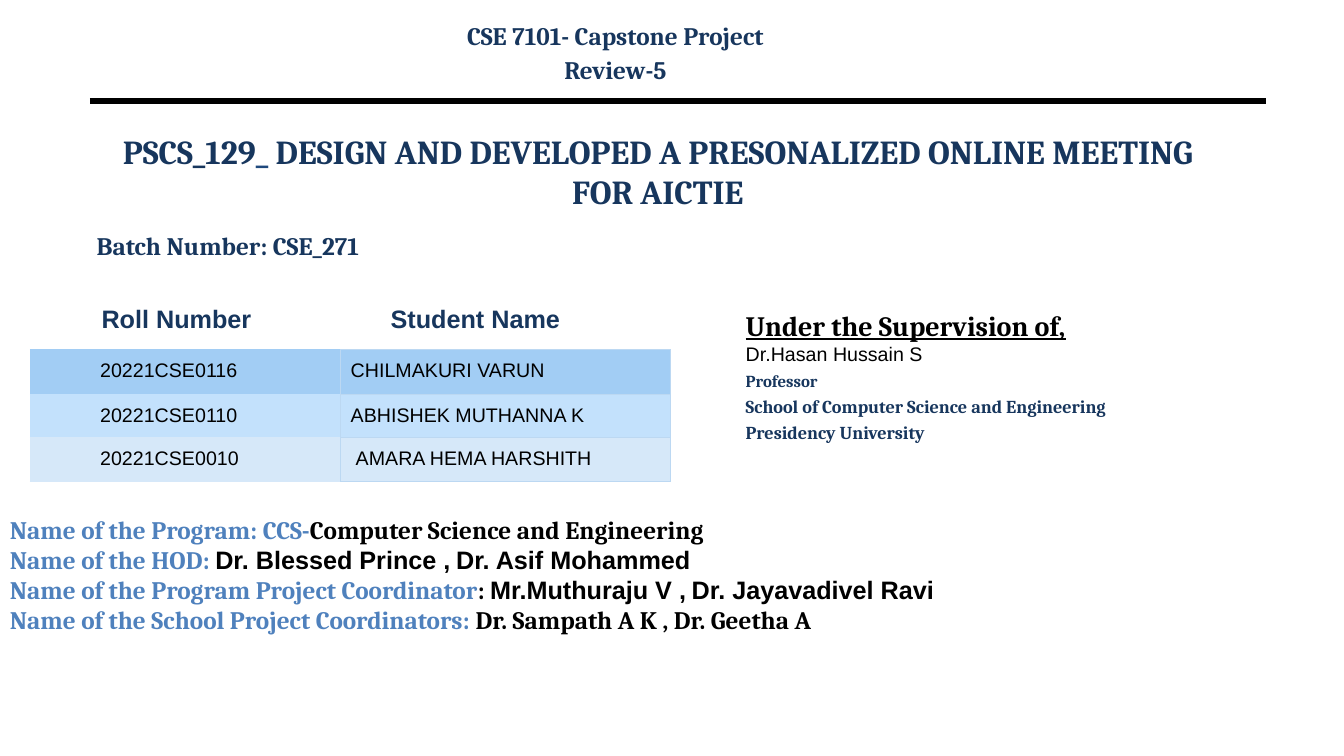
"""Build the capstone project review title slide."""
from dataclasses import dataclass

from lxml import etree
from pptx import Presentation
from pptx import util as u
from pptx.dml.color import RGBColor
from pptx.enum import shapes, text
from pptx.oxml.ns import qn

NAVY = RGBColor(0x17, 0x36, 0x5D)
SLATE = RGBColor(0x1F, 0x49, 0x7D)
BLUE = RGBColor(0x4F, 0x81, 0xBD)
BLACK = RGBColor(0, 0, 0)
ROW_BLUES = (RGBColor(0xA2, 0xCD, 0xF4), RGBColor(0xC3, 0xE1, 0xFC), RGBColor(0xD6, 0xE8, 0xF9))
NAME_EDGE = RGBColor(0xBC, 0xD8, 0xF2)

SERIF, SANS = "Cambria", "Arial"
LEFT, CENTER = text.PP_ALIGN.LEFT, text.PP_ALIGN.CENTER
TOP, MIDDLE = text.MSO_ANCHOR.TOP, text.MSO_ANCHOR.MIDDLE
SLIDE_WIDTH, SLIDE_HEIGHT = u.Inches(13.33), u.Inches(7.5)
GRID = 100


@dataclass(frozen=True)
class Run:
    words: str
    size: float = 18
    color: RGBColor = NAVY
    font: str = SERIF
    bold: bool = True
    underline: bool = False


@dataclass(frozen=True)
class Line:
    runs: tuple[Run, ...]
    align: text.PP_ALIGN = LEFT
    before: float = 0


@dataclass(frozen=True)
class Block:
    left: float
    top: float
    width: float
    height: float
    lines: tuple[Line, ...]
    anchor: text.MSO_ANCHOR = TOP


@dataclass(frozen=True)
class Student:
    roll: str
    name: str
    height: float
    name_indent: float = 0.75


def cols(count: float) -> int:
    return round(SLIDE_WIDTH * count / GRID)


def rows(count: float) -> int:
    return round(SLIDE_HEIGHT * count / GRID)


def label(words: str) -> Run:
    return Run(words, color=BLUE)


def person(words: str) -> Run:
    return Run(words, color=BLACK, font=SANS)


SMALL_GAP = Run(" ", 14, BLACK, SANS)

BLOCKS = (
    Block(6.45, 15.6, 84.98, 14, (
        Line((Run("PSCS_129", 24), Run("_", 24, SLATE),
              Run(" DESIGN AND DEVELOPED A PRESONALIZED ONLINE MEETING FOR AICTIE", 24)), CENTER),
    ), MIDDLE),
    Block(6.45, 29.87, 36, 8, (Line((Run("Batch Number: CSE_271"),)),)),
    Block(54.75, 40.13, 45.23, 29.47, (
        Line((Run("Under the Supervision of,", 20, BLACK, underline=True),), before=3.4),
        Line((Run("Dr.Hasan Hussain S", 14, BLACK, SANS, bold=False),)),
        Line((Run("Professor", 12),), before=3.4),
        Line((Run("School of Computer Science and Engineering", 13),), before=3.4),
        Line((Run("Presidency University", 13),), before=3.4),
    )),
    Block(23.25, 2, 45.08, 10.67, (
        Line((Run("CSE 7101- Capstone Project"),), CENTER),
        Line((Run("Review-5"),), CENTER, 3.1),
    )),
    Block(0, 67.33, 100, 22.8, (
        Line((label("Name of the Program: CCS-"),
              Run("Computer Science and Engineering", color=BLACK))),
        Line((label("Name of the HOD: "), person("Dr. Blessed Prince ,"),
              SMALL_GAP, person("Dr. Asif Mohammed"))),
        Line((label("Name of the Program Project Coordinator"), Run(": ", color=BLACK),
              person("Mr.Muthuraju V ,"), SMALL_GAP, person("Dr. Jayavadivel Ravi"))),
        Line((label("Name of the School Project Coordinators: "),
              Run("Dr. Sampath A K , Dr. Geetha A", color=BLACK))),
    )),
)

HEADINGS = ("Roll Number", "Student Name")
STUDENTS = (
    Student("20221CSE0116", "CHILMAKURI VARUN", 5.87),
    Student("20221CSE0110", "ABHISHEK MUTHANNA K", 5.6),
    Student("20221CSE0010", "AMARA HEMA HARSHITH", 5.6, 1.12),
)


def write(frame, lines: tuple[Line, ...]) -> None:
    for index, line in enumerate(lines):
        paragraph = frame.add_paragraph() if index else frame.paragraphs[0]
        paragraph.alignment = line.align
        paragraph.space_before = u.Pt(line.before)
        for part in line.runs:
            run = paragraph.add_run()
            run.text = part.words
            run.font.size = u.Pt(part.size)
            run.font.name = part.font
            run.font.bold = part.bold
            run.font.underline = part.underline
            run.font.color.rgb = part.color


def draw_block(slide, block: Block) -> None:
    box = slide.shapes.add_textbox(cols(block.left), rows(block.top),
                                   cols(block.width), rows(block.height))
    box.text_frame.word_wrap = True
    box.text_frame.vertical_anchor = block.anchor
    write(box.text_frame, block.lines)


def draw_rule(slide) -> None:
    rule = slide.shapes.add_connector(shapes.MSO_CONNECTOR.STRAIGHT, cols(6.68), rows(13.33),
                                      cols(94.2), rows(13.33))
    rule.line.color.rgb = BLACK
    rule.line.width = u.Pt(4.5)
    etree.SubElement(rule._element.spPr, qn("a:effectLst"))


def add_grid(slide, left: float, top: float, widths: tuple[float, ...],
             heights: tuple[float, ...]):
    table = slide.shapes.add_table(len(heights), len(widths), cols(left), rows(top),
                                   cols(sum(widths)), rows(sum(heights))).table
    table.first_row = table.horz_banding = False
    for column, width in zip(table.columns, widths):
        column.width = cols(width)
    for row, height in zip(table.rows, heights):
        row.height = rows(height)
    return table


def outline(cell, color: RGBColor) -> None:
    properties = cell._tc.get_or_add_tcPr()
    for side in ("a:lnL", "a:lnR", "a:lnT", "a:lnB"):
        edge = etree.SubElement(properties, qn(side), w=str(u.Pt(0.75)))
        fill = etree.SubElement(edge, qn("a:solidFill"))
        etree.SubElement(fill, qn("a:srgbClr"), val=str(color))


def draw_headings(slide) -> None:
    table = add_grid(slide, 4.58, 39.73, (17.1, 27.38), (4.4,) * 6)
    for cell in table.iter_cells():
        cell.fill.background()
    for column, heading in enumerate(HEADINGS):
        cell = table.cell(0, column)
        cell.vertical_anchor = MIDDLE
        write(cell.text_frame, (Line((Run(heading, font=SANS),), CENTER),))


def draw_students(slide) -> None:
    table = add_grid(slide, 2.25, 46.27, (23.1, 24.53),
                     tuple(student.height for student in STUDENTS))
    for index, (student, blue) in enumerate(zip(STUDENTS, ROW_BLUES)):
        entries = ((student.roll, 5.2, blue), (student.name, student.name_indent, NAME_EDGE))
        for column, (words, indent, edge) in enumerate(entries):
            cell = table.cell(index, column)
            outline(cell, edge)
            cell.fill.solid()
            cell.fill.fore_color.rgb = blue
            cell.margin_left = cols(indent)
            cell.margin_top = cell.margin_bottom = rows(1.33)
            write(cell.text_frame, (Line((Run(words, 14, BLACK, SANS, bold=False),)),))


def main() -> None:
    deck = Presentation()
    deck.slide_width, deck.slide_height = SLIDE_WIDTH, SLIDE_HEIGHT
    slide = deck.slides.add_slide(deck.slide_layouts[6])
    draw_rule(slide)
    draw_headings(slide)
    for block in BLOCKS:
        draw_block(slide, block)
    draw_students(slide)
    deck.save("out.pptx")


if __name__ == "__main__":
    main()
